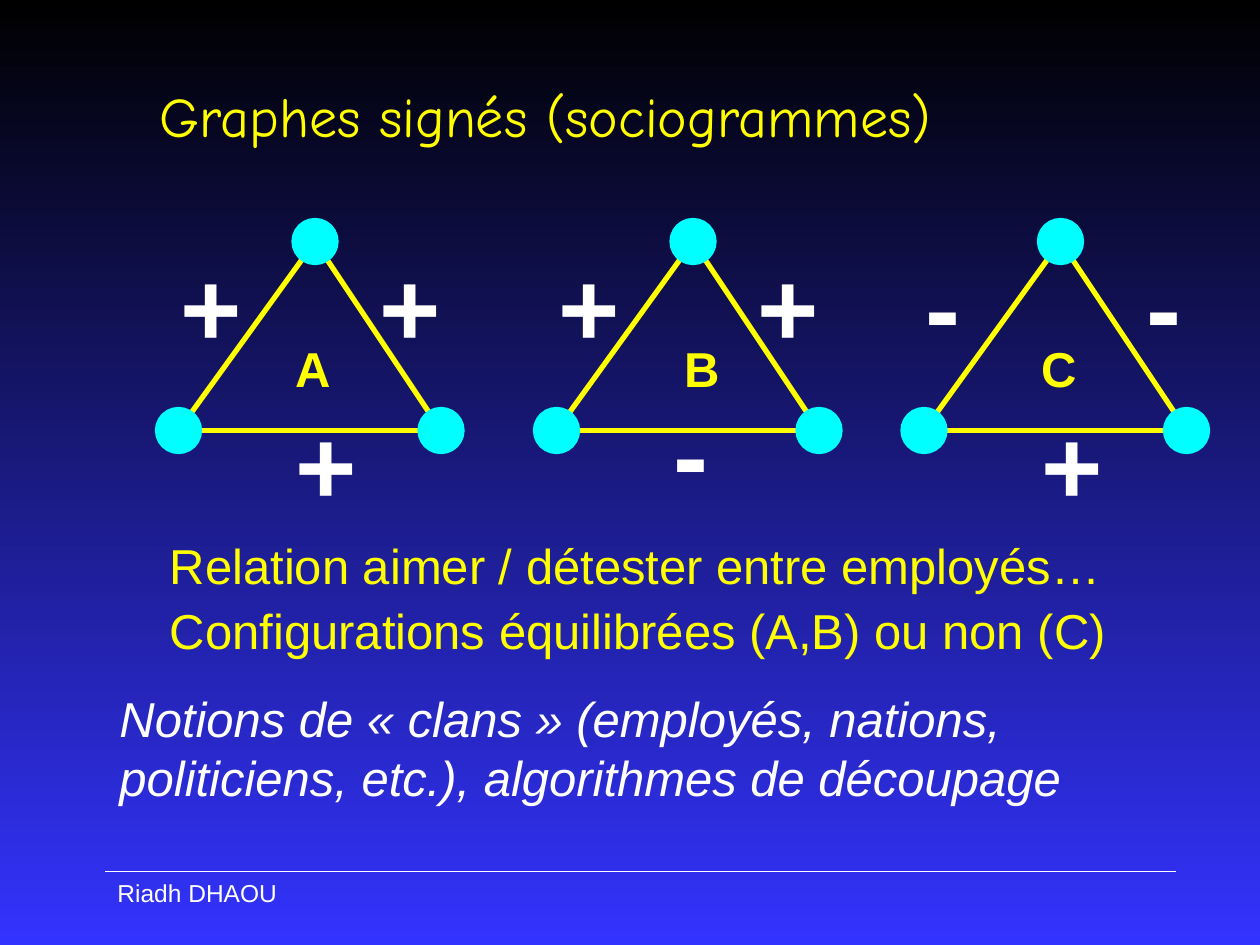
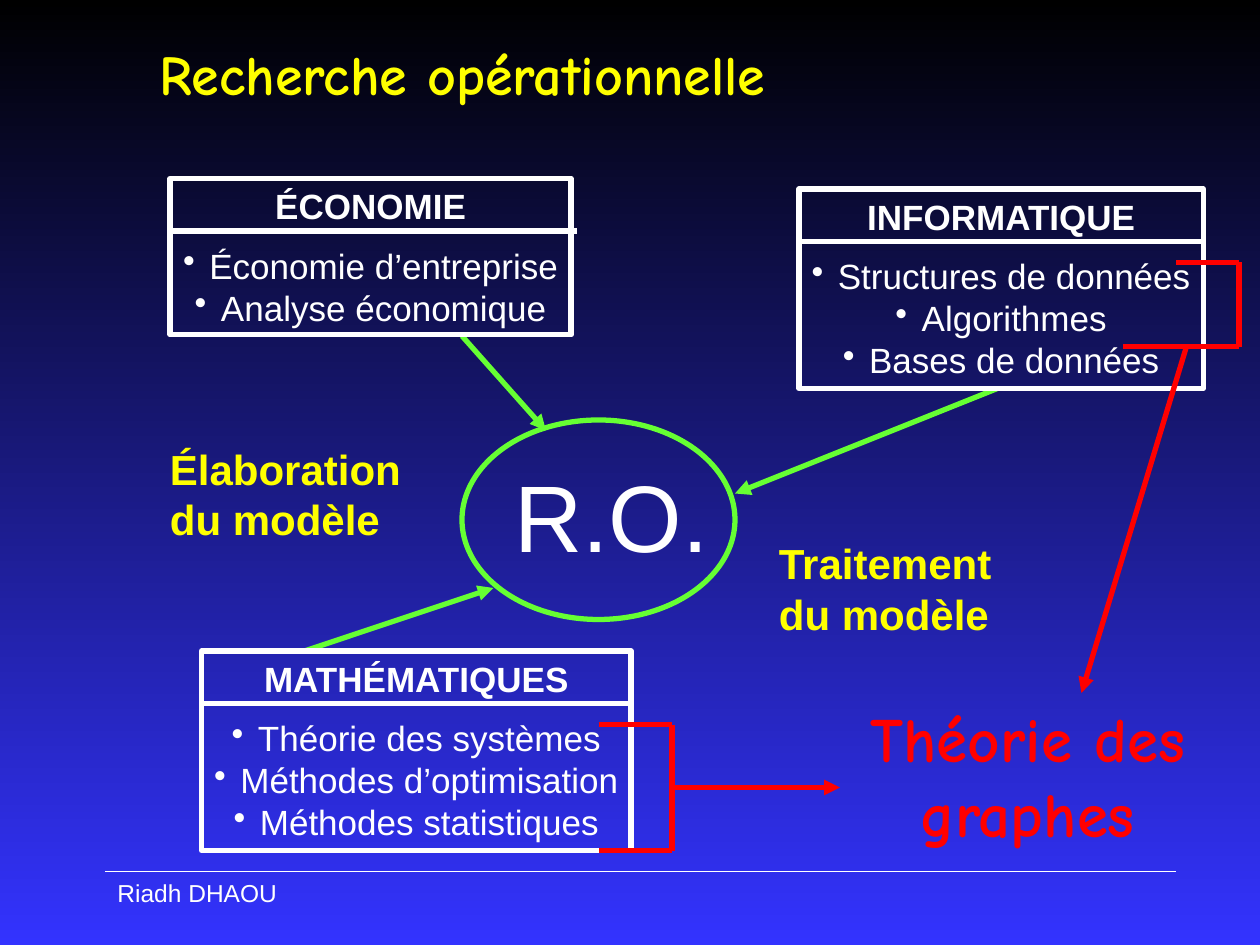
from dataclasses import dataclass
from itertools import pairwise
from typing import NamedTuple

from lxml import etree
from pptx import Presentation
from pptx import util as u
from pptx.dml.color import RGBColor
from pptx.enum import shapes, text
from pptx.oxml.ns import qn

EMU_PER_PX = 7620  # 120 px to the inch
COLOURS = {
    "sky": "000000",
    "ground": "3333FF",
    "white": "FFFFFF",
    "yellow": "FFFF00",
    "cyan": "00FFFF",
    "green": "66FF33",
    "red": "FF0000",
}
BODY_FONT = "Arial"
TITLE_FONT = "Comic Neue"
BULLET_INDENT = 25


class Point(NamedTuple):
    x: int
    y: int


class Area(NamedTuple):
    left: int
    top: int
    width: int
    height: int


class Style(NamedTuple):
    size: int
    colour: str = "white"
    bold: bool = False
    italic: bool = False
    font: str = BODY_FONT


class Sign(NamedTuple):
    mark: str
    dx: int
    top: int


@dataclass(frozen=True)
class Triad:
    """Three people; positions are taken from the lower left one."""
    name: str
    left: int
    name_dx: int
    signs: tuple[Sign, ...]


@dataclass(frozen=True)
class Discipline:
    name: str
    area: Area
    rule_width: int
    topics: tuple[str, ...]


@dataclass(frozen=True)
class Bracket:
    """Bracket around some topics, with an arrow leaving it."""
    corners: tuple[Point, ...]
    arrow: tuple[Point, Point]


TITLE = Style(32, "yellow", font=TITLE_FONT)
SIGN = Style(60, bold=True)
TRIAD_NAME = Style(28, "yellow", bold=True)
STAGE = Style(24, "yellow", bold=True)
TOPIC = Style(20)

APEX_Y, BASE_Y, NODE_SIZE = 230, 410, 40
TRIADS = (
    Triad("A", 170, 100, (Sign("+", -10, 250), Sign("+", 180, 250), Sign("+", 100, 400))),
    Triad("B", 530, 110, (Sign("+", -10, 250), Sign("+", 180, 250), Sign("-", 100, 390))),
    Triad("C", 880, 100, (Sign("-", -10, 250), Sign("-", 200, 250), Sign("+", 100, 400))),
)
DISCIPLINES = (
    Discipline("ÉCONOMIE", Area(162, 170, 382, 149), 390,
               ("Économie d’entreprise", "Analyse économique")),
    Discipline("INFORMATIQUE", Area(761, 180, 385, 190), 390,
               ("Structures de données", "Algorithmes", "Bases de données")),
    Discipline("MATHÉMATIQUES", Area(192, 620, 409, 190), 410,
               ("Théorie des systèmes", "Méthodes d’optimisation", "Méthodes statistiques")),
)
MODEL_ARROWS = (
    (Point(950, 370), Point(700, 470)),
    (Point(290, 620), Point(470, 560)),
    (Point(440, 320), Point(520, 410)),
)
BRACKETS = (
    Bracket((Point(570, 690), Point(640, 690), Point(640, 810), Point(570, 810)),
            (Point(640, 750), Point(800, 750))),
    Bracket((Point(1120, 250), Point(1180, 250), Point(1180, 330), Point(1070, 330)),
            (Point(1130, 330), Point(1030, 660))),
)


def px(length: int) -> u.Emu:
    return u.Emu(length * EMU_PER_PX)


def rgb(colour: str) -> RGBColor:
    return RGBColor.from_string(COLOURS[colour])


def add_run(paragraph, words: str, style: Style) -> None:
    run = paragraph.add_run()
    run.text = words
    font = run.font
    font.name, font.size = style.font, u.Pt(style.size)
    font.bold, font.italic = style.bold, style.italic
    font.color.rgb = rgb(style.colour)


def add_text(slide, area: Area, lines: tuple[str, ...], style: Style,
             middle: bool = False, centred: bool = False,
             spacing: float = 1.0, gap: int = 0) -> None:
    frame = slide.shapes.add_textbox(*map(px, area)).text_frame
    frame.word_wrap = True
    frame.vertical_anchor = text.MSO_ANCHOR.MIDDLE if middle else text.MSO_ANCHOR.TOP
    for index, line in enumerate(lines):
        paragraph = frame.add_paragraph() if index else frame.paragraphs[0]
        paragraph.alignment = text.PP_ALIGN.CENTER if centred else text.PP_ALIGN.LEFT
        paragraph.line_spacing = spacing
        if index:
            paragraph.space_before = u.Pt(gap)
        add_run(paragraph, line, style)


def add_line(slide, start: Point, end: Point, colour: str,
             weight: int = 3, arrow: bool = False) -> None:
    line = slide.shapes.add_connector(
        shapes.MSO_CONNECTOR.STRAIGHT, *map(px, (*start, *end)))
    line.line.color.rgb = rgb(colour)
    line.line.width = u.Pt(weight)
    properties = line._element.spPr
    if arrow:
        etree.SubElement(properties.find(qn("a:ln")), qn("a:tailEnd"), type="triangle")
    etree.SubElement(properties, qn("a:effectLst"))


def add_outline(slide, kind: shapes.MSO_SHAPE, area: Area, colour: str, filled: bool = False):
    shape = slide.shapes.add_shape(kind, *map(px, area))
    shape.shadow.inherit = False
    if filled:
        shape.fill.solid()
        shape.fill.fore_color.rgb = rgb(colour)
    else:
        shape.fill.background()
    shape.line.color.rgb = rgb(colour)
    shape.line.width = u.Pt(3)
    return shape


def set_background(master) -> None:
    fill = master.background.fill
    fill.gradient()
    fill.gradient_angle = 270
    for stop, colour in zip(fill.gradient_stops, ("sky", "ground")):
        stop.color.rgb = rgb(colour)


def new_slide(deck, title: str, top: int, height: int, style: Style):
    slide = deck.slides.add_slide(deck.slide_layouts[6])
    # Footer
    add_line(slide, Point(100, 830), Point(1120, 830), "white", weight=1)
    add_text(slide, Area(100, 830, 230, 41), ("Riadh DHAOU",), Style(14))
    # Title
    add_text(slide, Area(140, top, 1020, height), (title,), style, middle=True)
    return slide


def draw_triad(slide, triad: Triad) -> None:
    people = (Point(triad.left, BASE_Y), Point(triad.left + 130, APEX_Y),
              Point(triad.left + 250, BASE_Y))
    for start, end in pairwise((*people, people[0])):
        add_line(slide, start, end, "yellow")
    for person in people:
        node = Area(person.x - NODE_SIZE // 2, person.y - NODE_SIZE // 2, NODE_SIZE, NODE_SIZE)
        add_outline(slide, shapes.MSO_SHAPE.OVAL, node, "cyan", filled=True)
    for sign in triad.signs:
        add_text(slide, Area(triad.left + sign.dx, sign.top, 90, 80), (sign.mark,), SIGN,
                 middle=True)
    add_text(slide, Area(triad.left + triad.name_dx, 320, 50, 60), (triad.name,), TRIAD_NAME,
             middle=True)


def draw_discipline(slide, discipline: Discipline) -> None:
    area = discipline.area
    frame = add_outline(slide, shapes.MSO_SHAPE.RECTANGLE, area, "white").text_frame
    frame.word_wrap = False
    frame.vertical_anchor = text.MSO_ANCHOR.TOP
    for index, words in enumerate((discipline.name, *discipline.topics)):
        paragraph = frame.add_paragraph() if index else frame.paragraphs[0]
        paragraph.alignment = text.PP_ALIGN.CENTER
        properties = paragraph._p.get_or_add_pPr()
        properties.set("marL", str(px(BULLET_INDENT)))
        properties.set("indent", str(-px(BULLET_INDENT)))
        if index:
            bullet_colour = etree.SubElement(properties, qn("a:buClr"))
            etree.SubElement(bullet_colour, qn("a:srgbClr"), val=COLOURS["white"])
            etree.SubElement(properties, qn("a:buChar"), char="•")
        else:
            paragraph.space_after = u.Pt(10)
        add_run(paragraph, words, TOPIC if index else TOPIC._replace(bold=True))
    # Rule under the name
    rule = Point(area.left - 2, area.top + 50)
    add_line(slide, rule, Point(rule.x + discipline.rule_width, rule.y), "white")


def build_signed_graphs(deck) -> None:
    slide = new_slide(deck, "Graphes signés (sociogrammes)", 50, 120, TITLE)
    for triad in TRIADS:
        draw_triad(slide, triad)
    add_text(slide, Area(150, 510, 1020, 130),
             ("Relation aimer / détester entre employés…",
              "Configurations équilibrées (A,B) ou non (C)"),
             Style(28, "yellow"), spacing=0.9, gap=7)
    add_text(slide, Area(102, 650, 1020, 130),
             ("Notions de « clans » (employés, nations, politiciens, etc.), "
              "algorithmes de découpage",), Style(28, italic=True))


def build_operations_research(deck) -> None:
    slide = new_slide(deck, "Recherche opérationnelle", 20, 100, TITLE._replace(bold=True))
    # Disciplines feeding the central field
    for start, end in MODEL_ARROWS:
        add_line(slide, start, end, "green", arrow=True)
    add_text(slide, Area(478, 430, 227, 125), ("R.O.",), Style(54))
    add_outline(slide, shapes.MSO_SHAPE.OVAL, Area(440, 400, 260, 190), "green")
    for discipline in DISCIPLINES:
        draw_discipline(slide, discipline)
    # Stages of the work
    add_text(slide, Area(150, 420, 270, 100), ("Élaboration du modèle",), STAGE, middle=True)
    add_text(slide, Area(730, 510, 270, 100), ("Traitement du modèle",), STAGE, middle=True)
    # Topics that lead to graph theory
    add_text(slide, Area(788, 660, 382, 156), ("Théorie des graphes",),
             Style(36, "red", bold=True, font=TITLE_FONT), centred=True)
    for bracket in BRACKETS:
        for start, end in pairwise(bracket.corners):
            add_line(slide, start, end, "red")
        add_line(slide, *bracket.arrow, "red", arrow=True)


def main() -> None:
    deck = Presentation()
    deck.slide_width, deck.slide_height = px(1200), px(900)
    set_background(deck.slide_master)
    build_signed_graphs(deck)
    build_operations_research(deck)
    deck.save("out.pptx")


if __name__ == "__main__":
    main()
